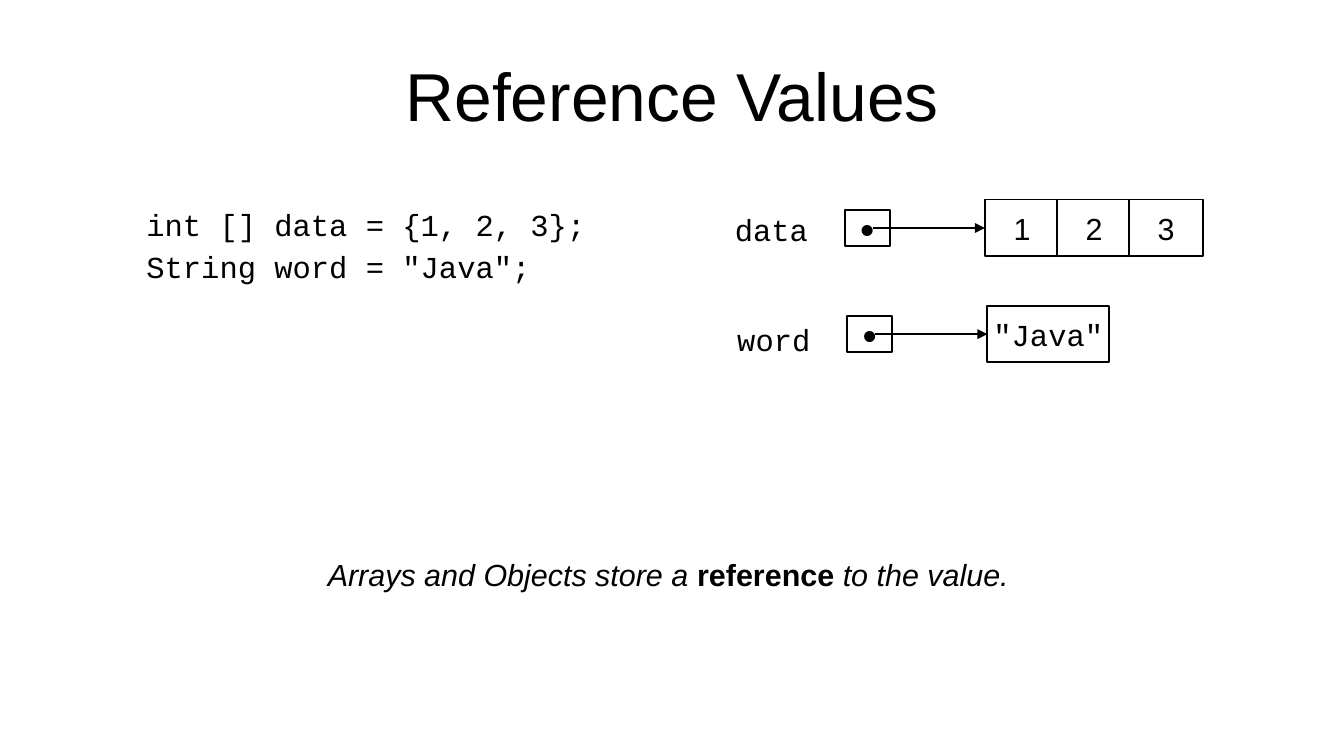
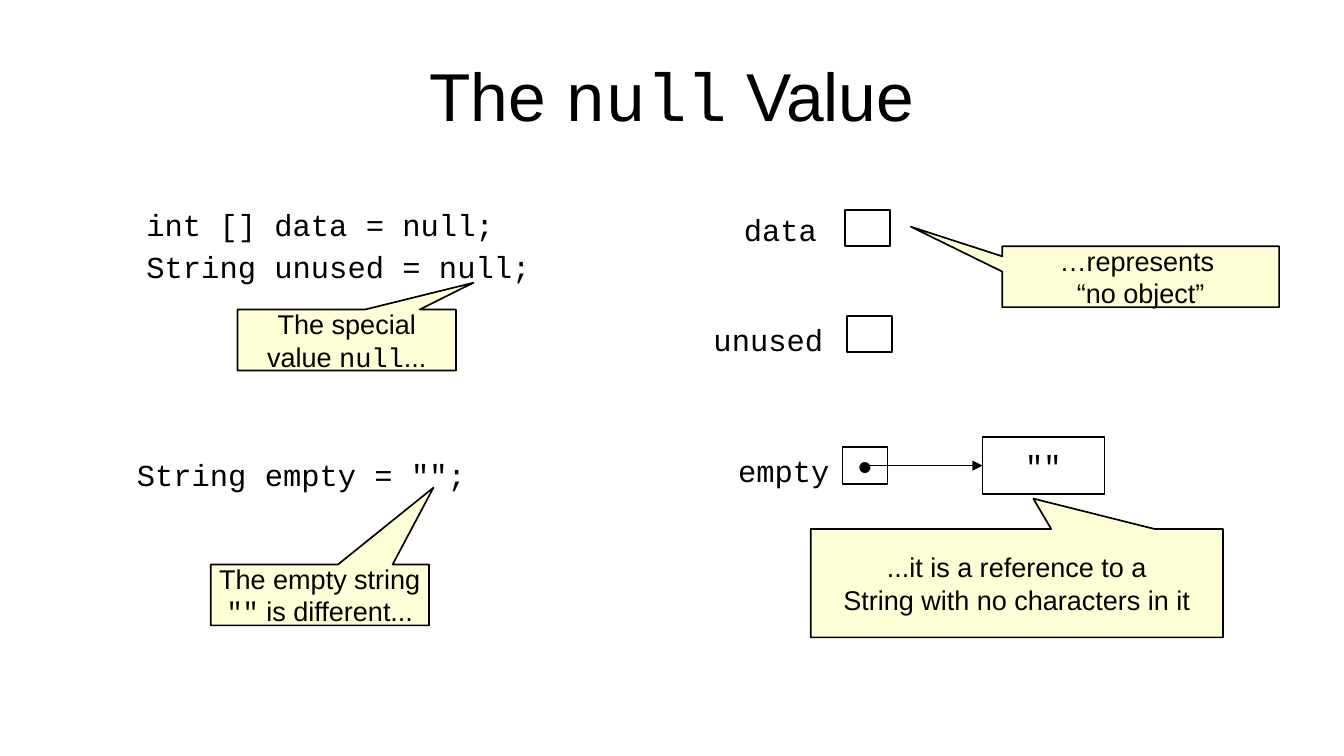
from dataclasses import dataclass
from lxml.etree import SubElement
from pptx import Presentation
from pptx.dml.color import RGBColor
from pptx.enum.shapes import MSO_CONNECTOR, MSO_SHAPE
from pptx.enum.text import MSO_ANCHOR, MSO_AUTO_SIZE, PP_ALIGN
from pptx.oxml.ns import qn
from pptx.util import Cm, Pt


@dataclass(frozen=True)
class Theme:
    ink: RGBColor = RGBColor(0, 0, 0)
    paper: RGBColor = RGBColor(255, 255, 255)
    note: RGBColor = RGBColor(0xFF, 0xFF, 0xD7)
    sans: str = "Arial"
    mono: str = "Courier New"
    head: Pt = Pt(40)
    dot: Pt = Pt(24)
    body: Pt = Pt(18)
    small: Pt = Pt(16)
    rule: Pt = Pt(1)


T = Theme()
MONO = {"name": T.mono}
CODE = {"name": T.mono, "size": T.body}
PLAIN = {"name": T.sans, "size": T.body}
SLANT = PLAIN | {"italic": True}
DOT = {"name": T.sans, "size": T.dot}
TITLE = {"name": T.sans, "size": T.head}
NOTE = {"name": T.sans, "size": T.small}

WIDE, HIGH = 28, 15.75
SLOT_W, SLOT_H = 0.94, 0.76
REACH, CELL_H = 2.92, 1.18
CELL_W, PITCH, WORD_W = 1.55, 1.5, 2.54


def apply(item, values):
    for name, value in values.items():
        setattr(item, name, value)


def margins(side, end):
    return {"margin_left": Cm(side), "margin_right": Cm(side),
            "margin_top": Cm(end), "margin_bottom": Cm(end)}


def write(frame, lines, font, **form):
    """Fill a frame; a line is a string or a list of strings and (text, font) pairs."""
    for i, line in enumerate(lines):
        para = frame.paragraphs[0] if i == 0 else frame.add_paragraph()
        apply(para, form)
        for part in [line] if isinstance(line, str) else line:
            text, extra = (part, {}) if isinstance(part, str) else part
            run = para.add_run()
            run.text = text
            apply(run.font, font | extra)
            run.font.color.rgb = T.ink


def label(slide, box, lines, font, wrap=False, pad=(0.25, 0.13),
          anchor=MSO_ANCHOR.TOP, **form):
    frame = slide.shapes.add_textbox(*map(Cm, box)).text_frame
    apply(frame, margins(*pad) | {
        "word_wrap": wrap, "vertical_anchor": anchor,
        "auto_size": MSO_AUTO_SIZE.SHAPE_TO_FIT_TEXT})
    write(frame, lines, font, **form)


def panel(slide, box, lines, font, kind=MSO_SHAPE.RECTANGLE, fill=T.paper):
    """Draw an outlined shape with centred text."""
    shape = slide.shapes.add_shape(kind, *map(Cm, box))
    shape.shadow.inherit = False
    shape.fill.solid()
    shape.fill.fore_color.rgb = fill
    shape.line.color.rgb = T.ink
    shape.line.width = T.rule
    apply(shape.text_frame, margins(0.28, 0.15) | {
        "word_wrap": False, "vertical_anchor": MSO_ANCHOR.MIDDLE})
    write(shape.text_frame, lines, font, alignment=PP_ALIGN.CENTER)
    return shape


def callout(slide, box, tip, lines):
    shape = panel(slide, box, lines, NOTE, MSO_SHAPE.RECTANGULAR_CALLOUT, T.note)
    for i, value in enumerate(tip):
        shape.adjustments[i] = value


def arrow(slide, x, y, goal):
    """Point from a spot to the left side of the goal."""
    line = slide.shapes.add_connector(
        MSO_CONNECTOR.STRAIGHT, Cm(x), Cm(y), goal.left, Cm(y))
    line.end_connect(goal, 1)
    line.line.color.rgb = T.ink
    line.line.width = T.rule
    props = line._element.spPr
    SubElement(props.find(qn("a:ln")), qn("a:tailEnd"), type="triangle")
    SubElement(props, qn("a:effectLst"))


def memory(slide, x, y, name, cells=(), font=CODE, width=WORD_W,
           gap=0, rise=0.03, align=PP_ALIGN.LEFT):
    """Draw a named slot and, if it has cells, the value that it refers to."""
    span = max(2.54, 0.5 + 0.39 * len(name))
    label(slide, (x - gap - span, y - rise, span, 0.97), [name], CODE,
          wrap=True, alignment=align)
    panel(slide, (x, y, SLOT_W, SLOT_H), ["•"] if cells else [], DOT)
    if cells:
        mid = y + SLOT_H / 2
        boxes = [panel(slide, (x + REACH + i * PITCH, mid - CELL_H / 2, width, CELL_H),
                       [cell], font) for i, cell in enumerate(cells)]
        arrow(slide, x + 0.58, mid, boxes[0])


def code(slide, x, y, width, lines):
    label(slide, (x, y, width, 0.3 + 1.05 * len(lines)), lines, CODE,
          line_spacing=1.15)


def begin(deck, title):
    slide = deck.slides.add_slide(deck.slide_layouts[6])
    label(slide, (1.4, 0.64, WIDE - 2.8, 2.64), [title], TITLE, wrap=True,
          pad=(0, 0), anchor=MSO_ANCHOR.MIDDLE, alignment=PP_ALIGN.CENTER)
    return slide


def values(deck):
    slide = begin(deck, "Reference Values")
    code(slide, 2.8, 4.04, 9.65, ["int [] data = {1, 2, 3};", 'String word = "Java";'])
    memory(slide, 17.6, 4.37, "data", "123", PLAIN, CELL_W, rise=0.1)
    memory(slide, 17.65, 6.58, "word", ['"Java"'])
    label(slide, (6.58, 11.46, 14.83, 1.12),
          [["Arrays and Objects store a ",
            ("reference", {"italic": False, "bold": True}),
            " to the value."]], SLANT)


def nulls(deck):
    slide = begin(deck, ["The ", ("null", MONO), " Value"])
    code(slide, 2.8, 4.04, 9.27, ["int [] data = null;", "String unused = null;"])
    code(slide, 2.6, 9.25, 7.52, ['String empty = "";'])
    right = PP_ALIGN.RIGHT
    memory(slide, 17.6, 4.37, "data", gap=0.33, rise=0.1, align=right)
    memory(slide, 17.65, 6.58, "unused", gap=0.25, align=right)
    memory(slide, 17.55, 9.32, "empty", ['""'], gap=0.02, align=right)
    callout(slide, (4.95, 6.45, 4.55, 1.27), (0.58, -0.94),
            ["The special", ["value ", ("null", MONO), "..."]])
    callout(slide, (20.88, 5.13, 5.77, 1.27), (-0.83, -0.82),
            ["…represents ", "“no object”"])
    callout(slide, (16.89, 11.02, 8.59, 2.26), (0.04, -0.78),
            ["...it is a reference to a", "String with no characters in it"])
    callout(slide, (4.39, 11.76, 4.55, 1.27), (0.52, -1.76),
            ["The empty string", [('""', MONO), " is different..."]])


def main():
    deck = Presentation()
    deck.slide_width, deck.slide_height = Cm(WIDE), Cm(HIGH)
    values(deck)
    nulls(deck)
    deck.save("out.pptx")


if __name__ == "__main__":
    main()
